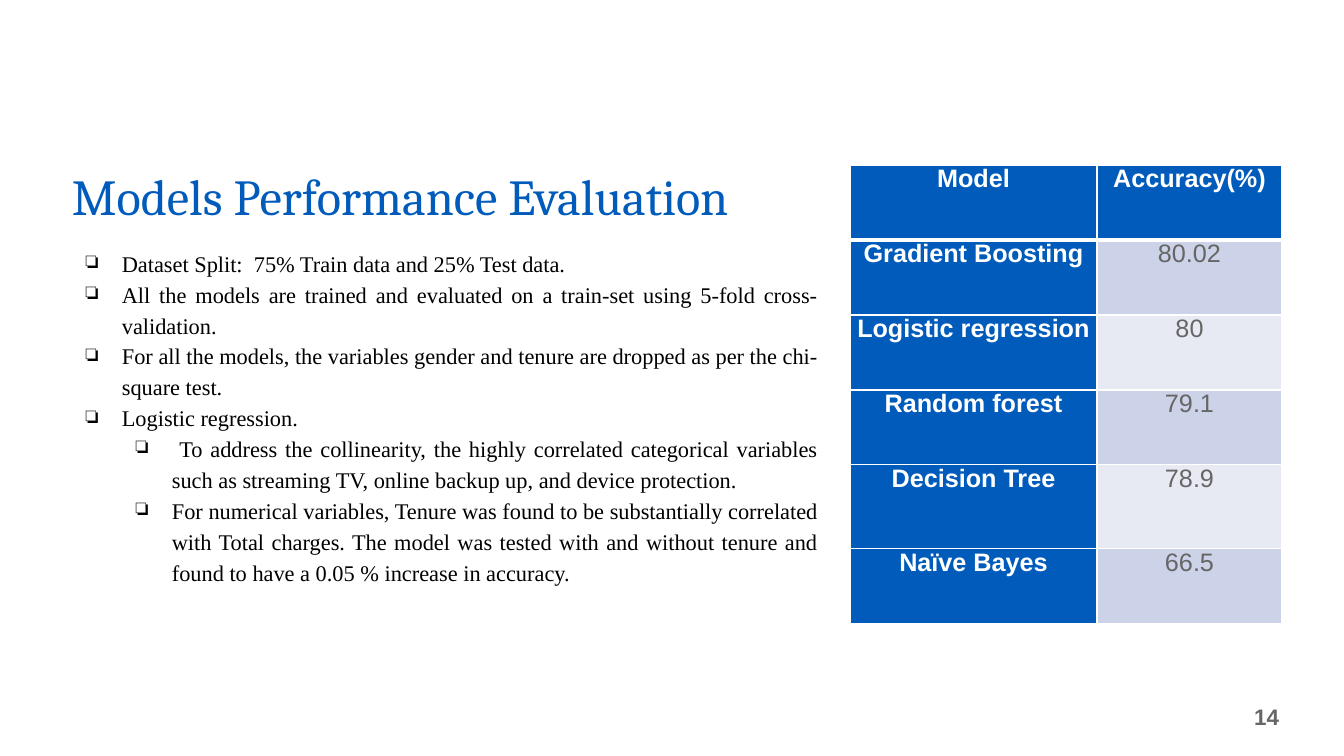
from lxml.etree import SubElement
from pptx import Presentation
from pptx.dml.color import RGBColor
from pptx.enum.text import MSO_ANCHOR, PP_ALIGN
from pptx.oxml.ns import qn
from pptx.util import Pt

PX = 914400 / 100.8
BLUE, WHITE, GREY, BLACK = "005BBB", "FFFFFF", "666666", "000000"
BANDS = ["CCD2E7", "E7EAF3"]
POINTS = [
    (0, "Dataset Split:  75% Train data and 25% Test data."),
    (0, "All the models are trained and evaluated on a train-set using 5-fold cross-validation."),
    (0, "For all the models, the variables gender and tenure are dropped as per the chi-square test."),
    (0, "Logistic regression."),
    (1, " To address the collinearity, the highly correlated categorical variables such as "
        "streaming TV, online backup up, and device protection."),
    (1, "For numerical variables, Tenure was found to be substantially correlated with Total charges. "
        "The model was tested with and without tenure and found to have a 0.05 % increase in accuracy."),
]
ACCURACIES = [
    ("Model", "Accuracy(%)"),
    ("Gradient Boosting", "80.02"),
    ("Logistic regression", "80"),
    ("Random forest", "79.1"),
    ("Decision Tree", "78.9"),
    ("Naïve Bayes", "66.5"),
]


def px(length):
    return round(length * PX)


def color(code):
    return RGBColor.from_string(code)


def write(paragraph, text, size=16, font="Arial", ink=BLACK, bold=False,
          align=PP_ALIGN.LEFT, spacing=1.0):
    paragraph.alignment = align
    paragraph.line_spacing = spacing
    run = paragraph.add_run()
    run.text = text
    run.font.size = Pt(size)
    run.font.name = font
    run.font.bold = bold
    run.font.color.rgb = color(ink)


def add_frame(slide, box, anchor=MSO_ANCHOR.TOP):
    frame = slide.shapes.add_textbox(*map(px, box)).text_frame
    frame.word_wrap = True
    frame.vertical_anchor = anchor
    return frame


def add_bullet(paragraph, level):
    paragraph.level = level
    properties = paragraph._p.get_or_add_pPr()
    properties.set("marL", str(px(50 * (level + 1))))
    properties.set("indent", str(px(-36)))
    bullet_color = SubElement(properties, qn("a:buClr"))
    SubElement(bullet_color, qn("a:srgbClr"), val=BLACK)
    SubElement(properties, qn("a:buChar"), char="❏")


def add_title(slide, box):
    frame = add_frame(slide, box, MSO_ANCHOR.BOTTOM)
    write(frame.paragraphs[0], "Models Performance Evaluation", size=36,
          font="Cambria", ink=BLUE, spacing=0.9)


def add_points(slide, box):
    frame = add_frame(slide, box)
    for index, (level, point) in enumerate(POINTS):
        paragraph = frame.add_paragraph() if index else frame.paragraphs[0]
        write(paragraph, point, font="Times New Roman",
              align=PP_ALIGN.JUSTIFY, spacing=1.15)
        add_bullet(paragraph, level)


def add_page_number(slide, box):
    frame = add_frame(slide, box, MSO_ANCHOR.MIDDLE)
    write(frame.paragraphs[0], "14", ink=GREY, bold=True, align=PP_ALIGN.RIGHT)


def set_borders(cell, widths):
    properties = cell._tc.get_or_add_tcPr()
    for position, (side, width) in enumerate(widths.items()):
        border = properties.makeelement(qn(f"a:{side}"), {"w": str(Pt(width))})
        fill = SubElement(border, qn("a:solidFill"))
        SubElement(fill, qn("a:srgbClr"), val=WHITE)
        properties.insert(position, border)


def add_accuracy_table(slide, box):
    table = slide.shapes.add_table(len(ACCURACIES), 2, *map(px, box)).table
    for column, width in zip(table.columns, (247, 185)):
        column.width = px(width)
    for row, height in zip(table.rows, (75, 75, 75, 75, 84, 75)):
        row.height = px(height)
    for r, record in enumerate(ACCURACIES):
        for c, entry in enumerate(record):
            cell = table.cell(r, c)
            heading = r == 0 or c == 0
            cell.margin_left = cell.margin_right = px(7)
            cell.margin_top = cell.margin_bottom = 0
            cell.fill.solid()
            cell.fill.fore_color.rgb = color(BLUE if heading else BANDS[(r - 1) % 2])
            set_borders(cell, {"lnL": 1, "lnR": 1, "lnT": 3 if r == 1 else 1,
                               "lnB": 3 if r == 0 else 1})
            write(cell.text_frame.paragraphs[0], entry, size=18,
                  ink=WHITE if heading else GREY, bold=heading, align=PP_ALIGN.CENTER)


def main():
    presentation = Presentation()
    presentation.slide_width = px(1344)
    presentation.slide_height = px(756)
    slide = presentation.slides.add_slide(presentation.slide_layouts[6])
    add_title(slide, (62, 165, 766, 66))
    add_points(slide, (62, 241, 766, 98))
    add_page_number(slide, (835, 697, 454, 40))
    add_accuracy_table(slide, (850, 165, 432, 459))
    presentation.save("out.pptx")


if __name__ == "__main__":
    main()
